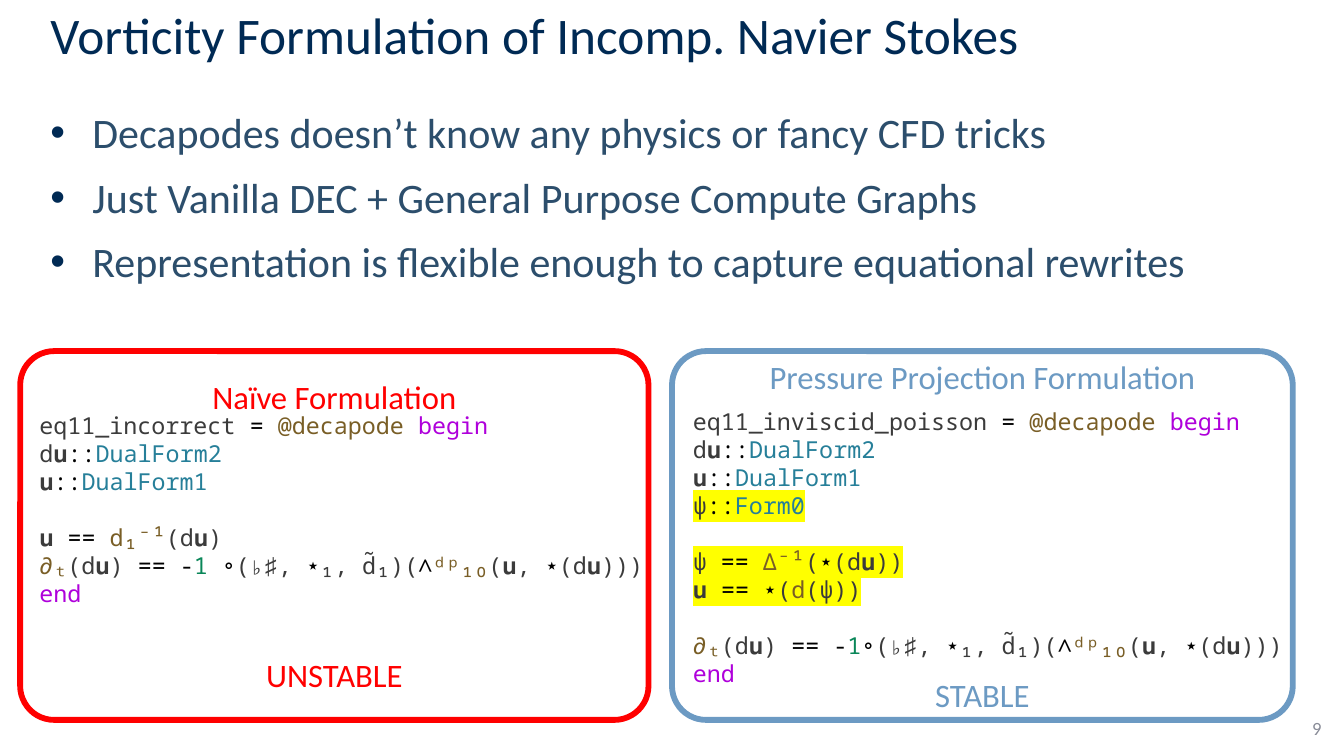
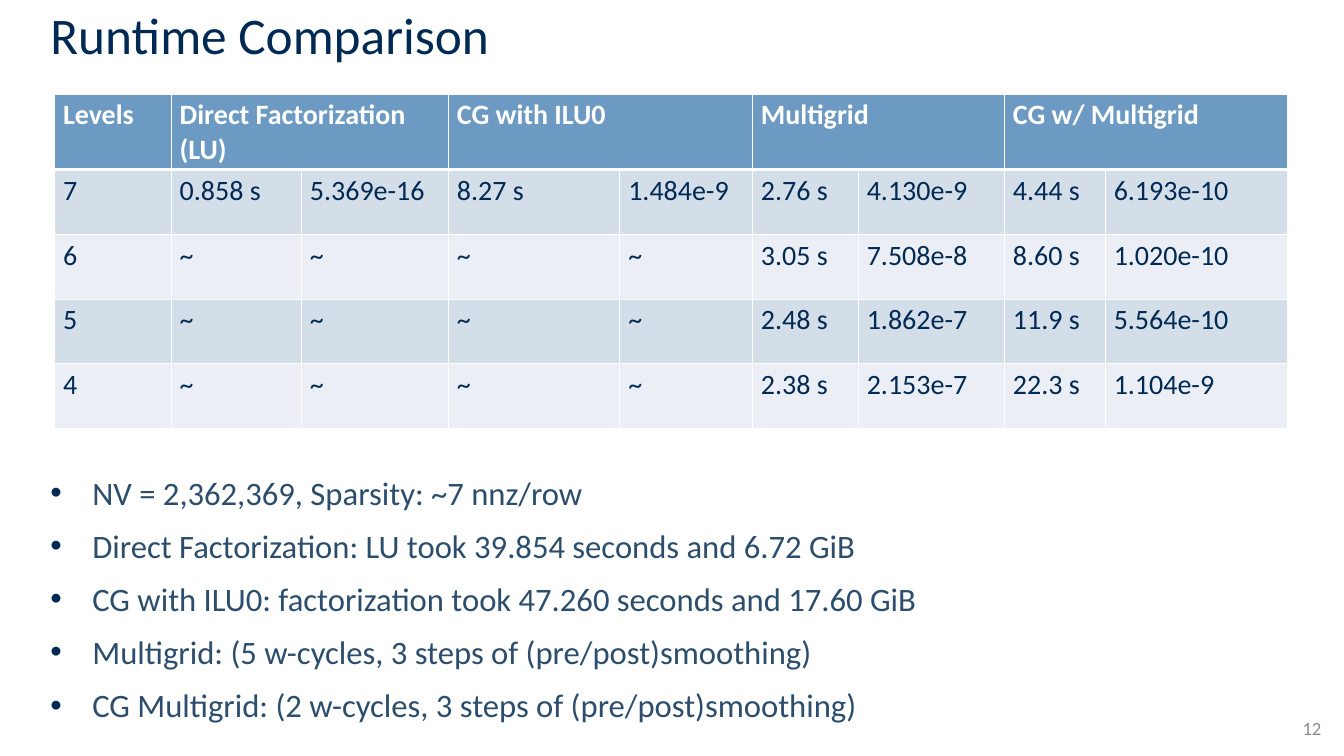
import dataclasses

import lxml.etree
import pptx
import pptx.dml.color
import pptx.enum.shapes
import pptx.enum.text
import pptx.oxml.ns
import pptx.util

# The slide is a grid of 16 columns by 9 rows, each one inch.
COLUMNS, ROWS = 16, 9
TEXT_FONT, CODE_FONT = "Calibri", "Noto Sans Mono"
NAVY, SLATE, GREY, WHITE = "002A54", "2C4E6C", "888B97", "FFFFFF"
RED, BLUE, YELLOW = "FF0000", "6C9AC3", "FFFF00"
BANDS = ("D4DEE9", "EBEFF5")
CODE_COLORS = {
    "name": "3B3B3B",
    "operator": "000000",
    "call": "795E26",
    "keyword": "AF00DB",
    "type": "267F99",
    "number": "098658",
}
HEADING_SIZE = 28
HEADING_LINE = HEADING_SIZE * 1.22
CODE_SIZE, CODE_LINE = 20, 24
LEFT = pptx.enum.text.PP_ALIGN.LEFT
CENTER = pptx.enum.text.PP_ALIGN.CENTER
RIGHT = pptx.enum.text.PP_ALIGN.RIGHT


@dataclasses.dataclass
class CodeLine:
    """Tokens are (kind, text) pairs; gap counts the empty lines above."""
    tokens: list
    gap: int = 0
    highlighted: bool = False


def color(hex_string):
    return pptx.dml.color.RGBColor.from_string(hex_string)


def area(left, top, width, height):
    """Turn grid columns and rows into lengths."""
    return [pptx.util.Inches(value) for value in (left, top, width, height)]


def move(shape, box):
    shape.left, shape.top, shape.width, shape.height = area(*box)


def add_element(parent, tag, **attributes):
    return lxml.etree.SubElement(parent, pptx.oxml.ns.qn(tag), attributes)


def add_color(parent, hex_string):
    add_element(parent, "a:srgbClr", val=hex_string)


def style(paragraph, size, hex_string=None, name=TEXT_FONT, bold=False):
    font = paragraph.font
    font.size, font.name, font.bold = pptx.util.Pt(size), name, bold
    if hex_string:
        font.color.rgb = color(hex_string)


def new_paragraph(frame, index):
    return frame.add_paragraph() if index else frame.paragraphs[0]


def add_title(slide, text):
    title = slide.shapes.title
    move(title, (0.5, -0.09, 12.56, 1))
    frame = title.text_frame
    frame.text = text
    frame.auto_size = pptx.enum.text.MSO_AUTO_SIZE.NONE
    frame.vertical_anchor = pptx.enum.text.MSO_ANCHOR.MIDDLE
    frame.margin_top = frame.margin_bottom = 0
    frame.paragraphs[0].alignment = LEFT
    style(frame.paragraphs[0], 44, NAVY)


def add_bullet(paragraph):
    properties = paragraph._p.get_or_add_pPr()
    indent = pptx.util.Inches(0.5)
    properties.set("marL", str(indent))
    properties.set("indent", str(-indent))
    add_color(add_element(properties, "a:buClr"), NAVY)
    add_element(properties, "a:buFont", typeface="Arial")
    add_element(properties, "a:buChar", char="•")


def add_bullets(slide, box, size, items):
    body = slide.placeholders[1]
    move(body, box)
    frame = body.text_frame
    frame.auto_size = pptx.enum.text.MSO_AUTO_SIZE.NONE
    frame.vertical_anchor = pptx.enum.text.MSO_ANCHOR.MIDDLE
    for index, item in enumerate(items):
        paragraph = new_paragraph(frame, index)
        paragraph.text = item
        paragraph.space_before = pptx.util.Pt(12 if index else 0)
        add_bullet(paragraph)
        style(paragraph, size, SLATE)


def add_slide_number(slide, number):
    box = slide.shapes.add_textbox(*area(12.1, 8.43, 3.73, 0.48))
    frame = box.text_frame
    frame.word_wrap = True
    frame.vertical_anchor = pptx.enum.text.MSO_ANCHOR.MIDDLE
    frame.text = str(number)
    frame.paragraphs[0].alignment = RIGHT
    style(frame.paragraphs[0], 16, GREY)


def add_slide(presentation, title, number):
    slide = presentation.slides.add_slide(presentation.slide_layouts[1])
    add_title(slide, title)
    add_slide_number(slide, number)
    return slide


def add_panel(slide, box, hex_string, heading, verdict, lines_between):
    """Draw a rounded frame with a heading and a verdict around the code."""
    panel = slide.shapes.add_shape(
        pptx.enum.shapes.MSO_SHAPE.ROUNDED_RECTANGLE, *area(*box))
    panel.adjustments[0] = 0.092
    panel.shadow.inherit = False
    panel.fill.background()
    panel.line.color.rgb = color(hex_string)
    panel.line.width = pptx.util.Pt(5)
    frame = panel.text_frame
    frame.vertical_anchor = pptx.enum.text.MSO_ANCHOR.MIDDLE
    for index, text in enumerate((heading, verdict)):
        paragraph = new_paragraph(frame, index)
        paragraph.text = text
        paragraph.alignment = CENTER
        paragraph.space_before = pptx.util.Pt(
            round(index * lines_between * HEADING_LINE))
        style(paragraph, HEADING_SIZE, hex_string)


def add_code(slide, box, lines):
    frame = slide.shapes.add_textbox(*area(*box)).text_frame
    frame.word_wrap = True
    for index, line in enumerate(lines):
        paragraph = new_paragraph(frame, index)
        paragraph.space_before = pptx.util.Pt(line.gap * CODE_LINE)
        style(paragraph, CODE_SIZE, name=CODE_FONT)
        for kind, text in line.tokens:
            run = paragraph.add_run()
            run.text = text
            run.font.color.rgb = color(CODE_COLORS[kind])
            if line.highlighted:
                properties = run._r.get_or_add_rPr()
                add_color(add_element(properties, "a:highlight"), YELLOW)


def opening(model):
    return CodeLine([("name", model + " "), ("operator", "= "),
                     ("call", "@decapode "), ("keyword", "begin")])


def declaration(variable, form, highlighted=False):
    return CodeLine([("name", variable), ("operator", "::"), ("type", form)],
                    highlighted=highlighted)


def closing(number, gap=0):
    """Return the time derivative equation and the end of the model."""
    equation = [
        ("call", "∂ₜ"), ("name", "(d𝐮) "), ("operator", "== -"),
        ("number", number), ("operator", "∘"), ("name", "(♭♯, "),
        ("operator", "⋆"), ("name", "₁, d̃₁)("), ("operator", "∧"),
        ("call", "ᵈᵖ₁₀"), ("name", "(𝐮, "), ("operator", "⋆"),
        ("name", "(d𝐮)))"),
    ]
    return [CodeLine(equation, gap), CodeLine([("keyword", "end")])]


def naive_model():
    return [
        opening("eq11_incorrect"),
        declaration("d𝐮", "DualForm2"),
        declaration("𝐮", "DualForm1"),
        CodeLine([("name", "𝐮 "), ("operator", "== "), ("call", "d₁⁻¹"),
                  ("name", "(d𝐮)")], gap=1),
        *closing("1 "),
    ]


def projection_model():
    return [
        opening("eq11_inviscid_poisson"),
        declaration("d𝐮", "DualForm2"),
        declaration("𝐮", "DualForm1"),
        declaration("ψ", "Form0", highlighted=True),
        CodeLine([("name", "ψ "), ("operator", "== "), ("call", "Δ⁻¹"),
                  ("name", "("), ("operator", "⋆"), ("name", "(d𝐮))")],
                 gap=1, highlighted=True),
        CodeLine([("name", "𝐮 "), ("operator", "== ⋆"), ("name", "("),
                  ("call", "d"), ("name", "(ψ))")], highlighted=True),
        *closing("1", gap=1),
    ]


def set_borders(cell, top, bottom):
    properties = cell._tc.get_or_add_tcPr()
    for side, width in (("L", 1), ("R", 1), ("T", top), ("B", bottom)):
        line = add_element(properties, "a:ln" + side,
                           w=str(pptx.util.Pt(width)))
        add_color(add_element(line, "a:solidFill"), WHITE)


def add_runtime_table(slide, box, widths, heights, solvers, results):
    """Each solver heading spans a time column and a residual column."""
    table = slide.shapes.add_table(
        len(heights), len(widths), *area(*box)).table
    table.horz_banding = False
    for column, width in zip(table.columns, widths):
        column.width = pptx.util.Inches(width)
    for row, height in zip(table.rows, heights):
        row.height = pptx.util.Inches(height)
    header = ["Levels"]
    for index, solver in enumerate(solvers):
        first = 1 + 2 * index
        table.cell(0, first).merge(table.cell(0, first + 1))
        header += [solver, ""]
    for row, texts in enumerate([header, *results]):
        for column, text in enumerate(texts):
            cell = table.cell(row, column)
            set_borders(cell, 3 if row == 1 else 1, 3 if row == 0 else 1)
            cell.fill.solid()
            cell.fill.fore_color.rgb = color(
                BANDS[(row - 1) % 2] if row else BLUE)
            if text:
                cell.text = text
                style(cell.text_frame.paragraphs[0], 24,
                      NAVY if row else WHITE, bold=row == 0)


def add_formulation_slide(presentation):
    slide = add_slide(
        presentation, "Vorticity Formulation of Incomp. Navier Stokes", 9)
    add_bullets(slide, (0.5, 1.05, 13.78, 2.58), 36, [
        "Decapodes doesn’t know any physics or fancy CFD tricks",
        "Just Vanilla DEC + General Purpose Compute Graphs",
        "Representation is flexible enough to capture equational rewrites",
    ])
    add_panel(slide, (0.24, 4.18, 7.48, 4.39), RED,
              "Naïve Formulation", "UNSTABLE", 6)
    add_code(slide, (0.37, 4.85, 7.5, 2.46), naive_model())
    add_panel(slide, (8, 4.18, 7.39, 4.39), BLUE,
              "Pressure Projection Formulation", "STABLE", 7)
    add_code(slide, (8.15, 4.8, 7.23, 3.47), projection_model())


def add_runtime_slide(presentation):
    slide = add_slide(presentation, "Runtime Comparison", 12)
    unsolved = ["~"] * 4
    add_runtime_table(
        slide, (0.65, 1.12, 14.68, 3.95),
        [1.39, 1.55, 1.75, 2.04, 1.58, 1.26, 1.74, 1.2, 2.17],
        [0.87] + [0.77] * 4,
        ["Direct Factorization (LU)", "CG with ILU0", "Multigrid",
         "CG w/ Multigrid"],
        [
            ["7", "0.858 s", "5.369e-16", "8.27 s", "1.484e-9",
             "2.76 s", "4.130e-9", "4.44 s", "6.193e-10"],
            ["6", *unsolved, "3.05 s", "7.508e-8", "8.60 s", "1.020e-10"],
            ["5", *unsolved, "2.48 s", "1.862e-7", "11.9 s", "5.564e-10"],
            ["4", *unsolved, "2.38 s", "2.153e-7", "22.3 s", "1.104e-9"],
        ])
    add_bullets(slide, (0.5, 5.25, 14.74, 3.75), 28, [
        "NV = 2,362,369, Sparsity: ~7 nnz/row",
        "Direct Factorization: LU took 39.854 seconds and 6.72 GiB",
        "CG with ILU0: factorization took 47.260 seconds and 17.60 GiB",
        "Multigrid: (5 w-cycles, 3 steps of (pre/post)smoothing)",
        "CG Multigrid: (2 w-cycles, 3 steps of (pre/post)smoothing)",
    ])


def main():
    presentation = pptx.Presentation()
    presentation.slide_width = pptx.util.Inches(COLUMNS)
    presentation.slide_height = pptx.util.Inches(ROWS)
    add_formulation_slide(presentation)
    add_runtime_slide(presentation)
    presentation.save("out.pptx")


if __name__ == "__main__":
    main()
